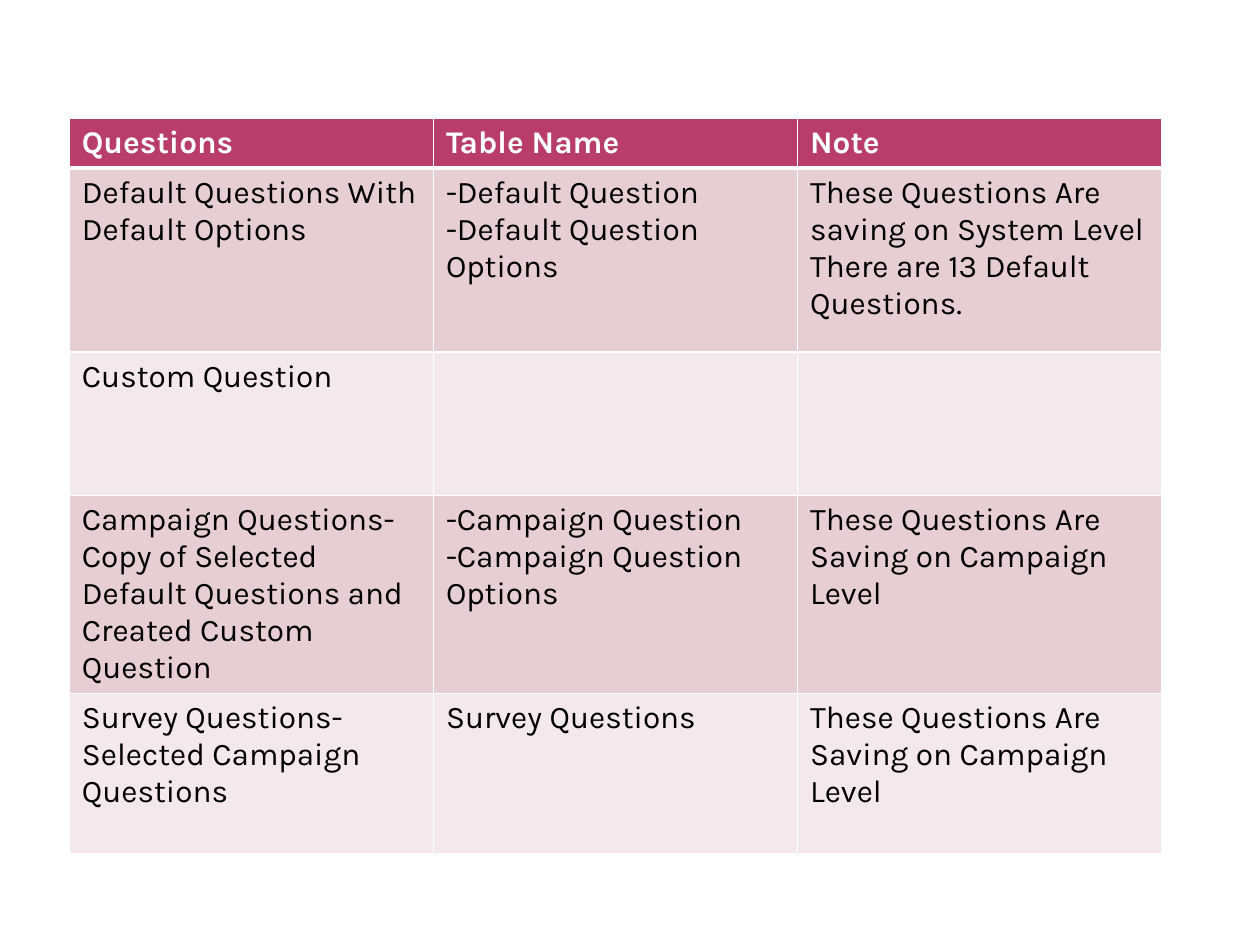
from lxml import etree
from pptx import Presentation
from pptx import util as u
from pptx.dml.color import RGBColor
from pptx.oxml import ns

HEADINGS = ["Questions", "Table Name", "Note"]
QUESTION_TYPES = [
    ["Default Questions With Default Options",
     "-Default Question\n-Default Question Options",
     "These Questions Are saving on System Level\nThere are 13 Default Questions."],
    ["Custom Question", "", ""],
    ["Campaign Questions-Copy of Selected Default Questions and Created Custom Question",
     "-Campaign Question\n-Campaign Question Options",
     "These Questions Are Saving on Campaign Level"],
    ["Survey Questions-Selected Campaign Questions",
     "Survey Questions",
     "These Questions Are Saving on Campaign Level"],
]
ROW_HEIGHTS = [0.38, 1.46, 1.14, 1.57, 1.27]
COLUMN_WIDTH = 2.89
COLORS = {"header": "B83D68", "odd": "E6CED4", "even": "F3E8EB",
          "border": "FFFFFF", "heading": "FFFFFF", "body": "000000"}


def add_borders(cell, widths):
    properties = cell._tc.get_or_add_tcPr()
    for position, (side, points) in enumerate(widths.items()):
        line = etree.Element(ns.qn("a:ln" + side), w=str(u.Pt(points)))
        fill = etree.SubElement(line, ns.qn("a:solidFill"))
        etree.SubElement(fill, ns.qn("a:srgbClr"), val=COLORS["border"])
        properties.insert(position, line)


def fill_cell(cell, content, row):
    is_header = row == 0
    band = "header" if is_header else "odd" if row % 2 else "even"
    cell.fill.solid()
    cell.fill.fore_color.rgb = RGBColor.from_string(COLORS[band])
    cell.text_frame.text = content
    for paragraph in cell.text_frame.paragraphs:
        for font in [paragraph.font] + [run.font for run in paragraph.runs]:
            font.name = "Karla"
            font.size = u.Pt(18)
            font.bold = is_header
            font.color.rgb = RGBColor.from_string(COLORS["heading" if is_header else "body"])
    add_borders(cell, {"L": 1, "R": 1, "T": 3 if row == 1 else 1, "B": 3 if is_header else 1})


deck = Presentation()
deck.slide_width, deck.slide_height = u.Inches(10), u.Inches(7.5)
slide = deck.slides.add_slide(deck.slide_layouts[6])

rows = [HEADINGS] + QUESTION_TYPES
questions = slide.shapes.add_table(
    len(rows), len(HEADINGS), u.Inches(0.55), u.Inches(0.94),
    u.Inches(COLUMN_WIDTH * len(HEADINGS)), u.Inches(sum(ROW_HEIGHTS))).table
for column in questions.columns:
    column.width = u.Inches(COLUMN_WIDTH)
for row, (contents, height) in enumerate(zip(rows, ROW_HEIGHTS)):
    questions.rows[row].height = u.Inches(height)
    for column, content in enumerate(contents):
        fill_cell(questions.cell(row, column), content, row)

deck.save("out.pptx")
